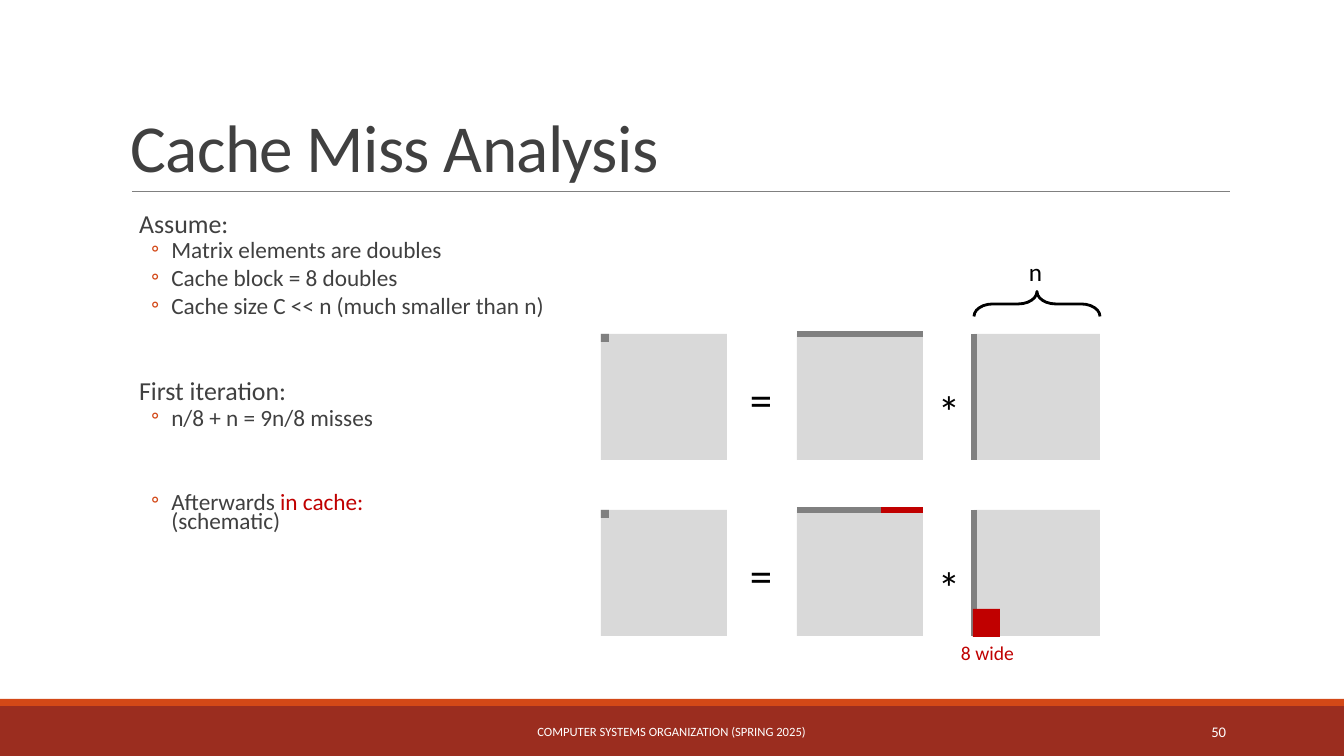
from lxml import etree
from pptx import Presentation, util as u
from pptx.dml.color import RGBColor
from pptx.enum import shapes as s, text as t
from pptx.oxml.ns import qn

PX = 914400 / 100.8
WIDE, HIGH = 1344, 756
BLACK = RGBColor(0, 0, 0)
WHITE = RGBColor(255, 255, 255)
DARK = RGBColor(0x40, 0x40, 0x40)
GRAY = RGBColor(0x80, 0x80, 0x80)
PALE = RGBColor(0xD9, 0xD9, 0xD9)
RED = RGBColor(0xC0, 0, 0)
RUST = RGBColor(0x9B, 0x2D, 0x1F)
ORANGE = RGBColor(0xD3, 0x48, 0x17)


def emu(*vals):
    return [round(v * PX) for v in vals]


def rect(slide, box, color):
    shape = slide.shapes.add_shape(s.MSO_SHAPE.RECTANGLE, *emu(*box))
    shape.shadow.inherit = False
    shape.fill.solid()
    shape.fill.fore_color.rgb = color
    shape.line.fill.background()


def line(slide, ends, color, width):
    link = slide.shapes.add_connector(s.MSO_CONNECTOR.STRAIGHT, *emu(*ends))
    link.line.color.rgb = color
    link.line.width = u.Pt(width)
    etree.SubElement(link._element.spPr, qn("a:effectLst"))


def frame(slide, box, wrap=True, anchor=t.MSO_ANCHOR.TOP):
    tf = slide.shapes.add_textbox(*emu(*box)).text_frame
    tf.word_wrap = wrap
    tf.vertical_anchor = anchor
    return tf


def write(para, text, size, color=BLACK, align=None, track=0):
    """Append text to a paragraph, with a line break at each newline."""
    if align is not None:
        para.alignment = align
    for i, part in enumerate(text.split("\n")):
        if i:
            para.add_line_break()
        if part:
            run = para.add_run()
            run.text = part
            run.font.name = "Calibri"
            run.font.size = u.Pt(size)
            run.font.color.rgb = color
            if track:
                run._r.get_or_add_rPr().set("spc", str(track))


def label(slide, box, text, size, color=BLACK):
    write(frame(slide, box, wrap=False).paragraphs[0], text, size, color)


def title(slide, box):
    x, y, w, h = box
    para = frame(slide, box, anchor=t.MSO_ANCHOR.BOTTOM).paragraphs[0]
    para.line_spacing = 0.85
    write(para, "Cache Miss Analysis", 48, DARK, track=-50)
    line(slide, (x + 11, y + h, x + w, y + h), GRAY, 0.5)


def bullet(para):
    props = para._p.get_or_add_pPr()
    props.set("marL", str(u.Inches(0.42)))
    props.set("indent", str(u.Inches(-0.2)))
    tint = etree.SubElement(props, qn("a:buClr"))
    etree.SubElement(tint, qn("a:srgbClr")).set("val", str(ORANGE))
    etree.SubElement(props, qn("a:buFont")).set("typeface", "Calibri")
    etree.SubElement(props, qn("a:buChar")).set("char", "◦")


def body(slide, box):
    # Level, space before, coloured parts
    items = [
        (0, 12, [("Assume:", DARK)]),
        (1, 2, [("Matrix elements are doubles", DARK)]),
        (1, 2, [("Cache block = 8 doubles", DARK)]),
        (1, 2, [("Cache size C << n (much smaller than n)", DARK)]),
        (0, 42, [("First iteration:", DARK)]),
        (1, 2, [("n/8 + n = 9n/8 misses", DARK)]),
        (1, 42, [("Afterwards ", DARK), ("in cache:\n", RED),
                 ("(schematic)", DARK)]),
    ]
    tf = frame(slide, box)
    tf.margin_left = tf.margin_right = 0
    for i, (level, before, parts) in enumerate(items):
        para = tf.add_paragraph() if i else tf.paragraphs[0]
        para.line_spacing = 0.7
        para.space_before = u.Pt(before)
        para.space_after = u.Pt(4 if level else 2)
        if level:
            bullet(para)
        else:
            para._p.get_or_add_pPr().set("marL", str(u.Inches(0.1)))
        for text, color in parts:
            write(para, text, 16.6 if level else 18.5, color)


def product(slide, box):
    """Draw result = rows * columns, and return the left edges."""
    x, y, w, side = box
    cols = [x, x + 196, x + w - side]
    for col in cols:
        rect(slide, (col, y, side, side), PALE)
    rect(slide, (x, y, 8, 8), GRAY)
    line(slide, (cols[1], y, cols[1] + side, y), GRAY, 4.5)
    line(slide, (cols[2], y, cols[2], y + side), GRAY, 4.5)
    label(slide, (x + 139, y + 33, 43, 65), "=", 32)
    label(slide, (x + 327, y + 45, 43, 65), "*", 32)
    return cols


def first(slide, box):
    x, y, w, side = box
    last = product(slide, box)[2]
    # Brace over the last matrix, turned to point up
    deep, mid = 25, last + side / 2
    brace = slide.shapes.add_shape(
        s.MSO_SHAPE.LEFT_BRACE,
        *emu(mid - deep / 2, y - 30 - side / 2, deep, side))
    brace.rotation = 90
    brace.adjustments[0] = 0.75
    brace.adjustments[1] = 0.5
    brace.shadow.inherit = False
    brace.fill.background()
    brace.line.color.rgb = BLACK
    brace.line.width = u.Pt(2)
    label(slide, (mid - 18, y - 83, 34, 40), "n", 18)


def cached(slide, box):
    x, y, w, side = box
    _, mid, last = product(slide, box)
    end = mid + side
    line(slide, (end - side / 3, y, end, y), RED, 4.5)
    rect(slide, (last - 1, y + side - 27, 27, 28), RED)
    label(slide, (last - 23, y + side, 75, 34), "8 wide", 14, RED)


def footer(slide, box):
    x, y, w, h = box
    rect(slide, box, RUST)
    rect(slide, (x, y - 7, w, 7), ORANGE)
    notes = [(406, 531, "COMPUTER SYSTEMS ORGANIZATION (SPRING 2025)", 9,
              t.PP_ALIGN.CENTER),
             (1092, 144, "50", 10.5, t.PP_ALIGN.RIGHT)]
    for left, wide, text, size, align in notes:
        tf = frame(slide, (x + left, y + 6, wide, 40),
                   anchor=t.MSO_ANCHOR.MIDDLE)
        write(tf.paragraphs[0], text, size, WHITE, align)


def main():
    deck = Presentation()
    deck.slide_width, deck.slide_height = emu(WIDE, HIGH)
    slide = deck.slides.add_slide(deck.slide_layouts[6])
    footer(slide, (0, 706, WIDE, 50))
    title(slide, (121, 31, 1109, 160))
    body(slide, (129, 211, 871, 337))
    first(slide, (601, 334, 499, 126))
    cached(slide, (601, 510, 499, 126))
    deck.save("out.pptx")


if __name__ == "__main__":
    main()
